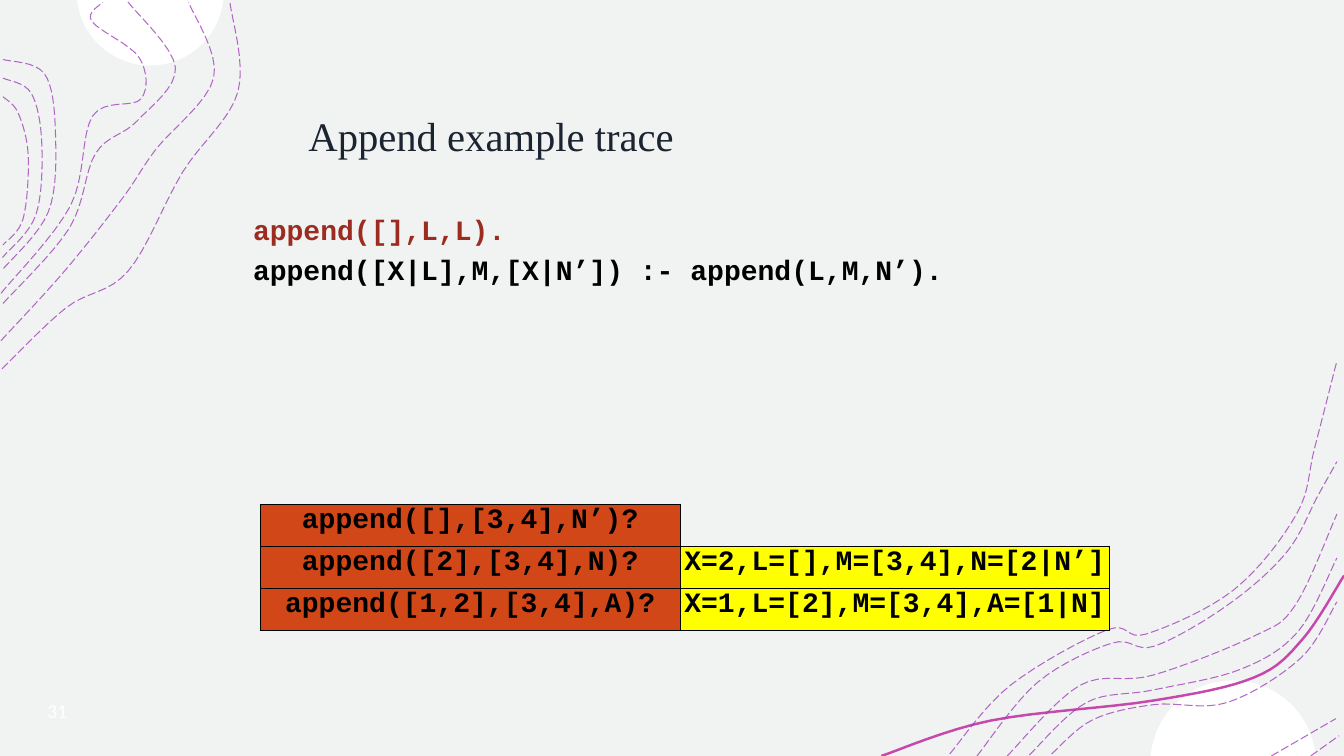
from math import asin, cos, pi, sin

from lxml.etree import SubElement
from pptx import Presentation
from pptx.dml.color import RGBColor
from pptx.enum.dml import MSO_LINE_DASH_STYLE as Dash
from pptx.enum.text import MSO_ANCHOR as Anchor, PP_ALIGN as Align
from pptx.oxml.ns import qn
from pptx.util import Inches, Pt

COLORS = {"page": "F0F3F1", "white": "FFFFFF", "ribbon": "C748AC", "contour": "9C37B6",
          "title": "1B2430", "fact": "9B2C1F", "black": "000000",
          "query": "D24717", "binding": "FFFF00"}
TITLE = "Append example trace"
PAGE_NUMBER = "31"
CLAUSES = [("append([],L,L).", "fact", 5.8),
           ("append([X|L],M,[X|N’]) :- append(L,M,N’).", "black", 4.8)]
TRACE = [("append([],[3,4],N’)?", ""),
         ("append([2],[3,4],N)?", "X=2,L=[],M=[3,4],N=[2|N’]"),
         ("append([1,2],[3,4],A)?", "X=1,L=[2],M=[3,4],A=[1|N]")]
TRACE_COLUMNS = [4.17, 4.25]
TRACE_ROW = 0.42
CODE = {"name": "Courier New", "size": Pt(20), "bold": True}
TITLE_FONT = {"name": "Times New Roman", "size": Pt(29)}
NUMBER_FONT = {"size": Pt(14)}

DISCS = [(1.49, -0.08, 0.73, 0, 1), (12.23, 7.57, 0.82, 7.5, -1)]
RIBBON = [(13.33, 5.71), (12.92, 6.34), (12.44, 6.72), (11.44, 6.95), (9.82, 7.15), (8.74, 7.5)]
BANDS = [
    (2, [(0.02, 3.66), (0.66, 3.05), (1.27, 2.69), (1.81, 1.71), (2.36, 0.91), (2.28, 0.02)],
        [(0.01, 3.38), (0.64, 2.69), (1.22, 1.96), (1.54, 1.49), (2.12, 0.77), (1.87, 0.02)]),
    (2, [(0.03, 3.01), (0.69, 2.26), (0.95, 1.52), (1.36, 1.2), (1.74, 0.67), (1.27, 0.02)],
        [(0.01, 2.91), (0.7, 2.04), (0.92, 1.15), (1.4, 0.98), (1.38, 0.57), (0.91, 0.21),
         (1.02, 0.02)]),
    (3, [(0.03, 0.59), (0.44, 0.73), (0.55, 1.32), (0.48, 2.1), (0.02, 2.68)],
        [(0.03, 0.96), (0.18, 1.12), (0.28, 1.54), (0.23, 2.17), (0.03, 2.43)]),
    (2, [(9.42, 7.48), (10.02, 6.8), (10.98, 6.25), (11.37, 6.29), (12.24, 5.85),
         (12.86, 5.1), (13.04, 4.44), (13.26, 3.58)],
        [(9.69, 7.5), (10.29, 6.77), (11.03, 6.38), (11.45, 6.41), (12.18, 6),
         (12.76, 5.48), (13.07, 4.92), (13.26, 4.58)]),
    (3, [(9.99, 7.5), (10.71, 6.8), (11.43, 6.7), (12.44, 6.31), (12.85, 6), (13.26, 5.1)],
        [(10.43, 7.48), (10.84, 7.14), (11.45, 6.99), (12.17, 6.97), (12.9, 6.53),
         (13.26, 5.97)]),
    (2, [(12.61, 7.5), (13.25, 7.13)], [(13, 7.5), (13.28, 7.3)]),
]


def rgb(name):
    return RGBColor.from_string(COLORS[name])


def smooth(points, steps=8):
    padded = [points[0], *points, points[-1]]
    curve = [points[0]]
    for a, b, c, d in zip(padded, padded[1:], padded[2:], padded[3:]):
        for step in range(1, steps + 1):
            t = step / steps
            curve.append(tuple(
                q + t * (r - p) / 2 + t * t * (2 * p - 5 * q + 4 * r - s) / 2
                + t ** 3 * (3 * q - p - 3 * r + s) / 2
                for p, q, r, s in zip(a, b, c, d)))
    return curve


def contours(count, outer, inner):
    yield outer
    for index in range(1, count - 1):
        share = index / (count - 1)
        yield [tuple(p + share * (q - p) for p, q in zip(a, b)) for a, b in zip(outer, inner)]
    yield inner


def disc_edge(x, y, radius, edge, side, steps=40):
    start = asin((edge - y) * side / radius)
    angles = [start + (pi - 2 * start) * step / steps for step in range(steps + 1)]
    return [(x + radius * cos(angle), y + side * radius * sin(angle)) for angle in angles]


def draw(page, points, close=False):
    spots = [(Inches(x), Inches(y)) for x, y in points]
    builder = page.shapes.build_freeform(*spots[0])
    builder.add_line_segments(spots[1:], close=close)
    shape = builder.convert_to_shape()
    shape.shadow.inherit = False
    return shape


def draw_line(page, points, color, width):
    shape = draw(page, smooth(points))
    shape.fill.background()
    shape.line.color.rgb = rgb(color)
    shape.line.width = Pt(width)
    return shape


def write(para, text, color, font, space=0):
    para.space_before = Pt(space)
    span = para.add_run()
    span.text = text
    span.font.color.rgb = rgb(color)
    for key, value in font.items():
        setattr(span.font, key, value)


def add_text(page, place, top_inset=0, anchor=Anchor.TOP):
    frame = page.shapes.add_textbox(*map(Inches, place)).text_frame
    settings = {"word_wrap": True, "vertical_anchor": anchor, "margin_left": 0,
                "margin_right": 0, "margin_top": Inches(top_inset), "margin_bottom": 0}
    for key, value in settings.items():
        setattr(frame, key, value)
    return frame


def set_borders(cell, sides):
    props = cell._tc.get_or_add_tcPr()
    for side in "LRTB":
        line = SubElement(props, qn(f"a:ln{side}"), w=str(Pt(0.75)))
        if side in sides:
            fill = SubElement(line, qn("a:solidFill"))
            SubElement(fill, qn("a:srgbClr"), val=COLORS["black"])
        else:
            SubElement(line, qn("a:noFill"))


def add_trace(page):
    rows = len(TRACE)
    table = page.shapes.add_table(rows, 2, Inches(2.58), Inches(5), Inches(sum(TRACE_COLUMNS)),
                                  Inches(TRACE_ROW * rows)).table
    table.first_row = table.horz_banding = False
    for column, width in zip(table.columns, TRACE_COLUMNS):
        column.width = Inches(width)
    for row, texts in zip(table.rows, TRACE):
        row.height = Inches(TRACE_ROW)
        for cell, text, color in zip(row.cells, texts, ("query", "binding")):
            set_borders(cell, "LRTB" if text else "LB")
            cell.margin_left = cell.margin_right = cell.margin_bottom = 0
            cell.margin_top = Inches(0.01)
            if not text:
                cell.fill.background()
                continue
            cell.fill.solid()
            cell.fill.fore_color.rgb = rgb(color)
            para = cell.text_frame.paragraphs[0]
            para.alignment = Align.CENTER
            write(para, text, "black", CODE, 0.7)


def main():
    deck = Presentation()
    deck.slide_width, deck.slide_height = Inches(13.33), Inches(7.5)
    page = deck.slides.add_slide(deck.slide_layouts[6])
    page.background.fill.solid()
    page.background.fill.fore_color.rgb = rgb("page")
    for disc in DISCS:
        shape = draw(page, disc_edge(*disc), close=True)
        shape.fill.solid()
        shape.fill.fore_color.rgb = rgb("white")
        shape.line.fill.background()
    draw_line(page, RIBBON, "ribbon", 1.75)
    for band in BANDS:
        for contour in contours(*band):
            shape = draw_line(page, contour, "contour", 0.75)
            shape.line.dash_style = Dash.LONG_DASH
            for color in shape.line._ln.iter(qn("a:srgbClr")):
                SubElement(color, qn("a:alpha"), val="75000")
    clauses = add_text(page, (2.51, 2.03, 6.86, 0.83), 0.08)
    for index, (text, color, space) in enumerate(CLAUSES):
        para = clauses.add_paragraph() if index else clauses.paragraphs[0]
        write(para, text, color, CODE, space)
    add_trace(page)
    title = add_text(page, (3.06, 0.65, 10, 0.94), 0.45, Anchor.MIDDLE)
    write(title.paragraphs[0], TITLE, "title", TITLE_FONT, 1)
    number = add_text(page, (0.47, 6.9, 0.6, 0.3), 0, Anchor.MIDDLE)
    write(number.paragraphs[0], PAGE_NUMBER, "white", NUMBER_FONT)
    deck.save("out.pptx")


if __name__ == "__main__":
    main()
